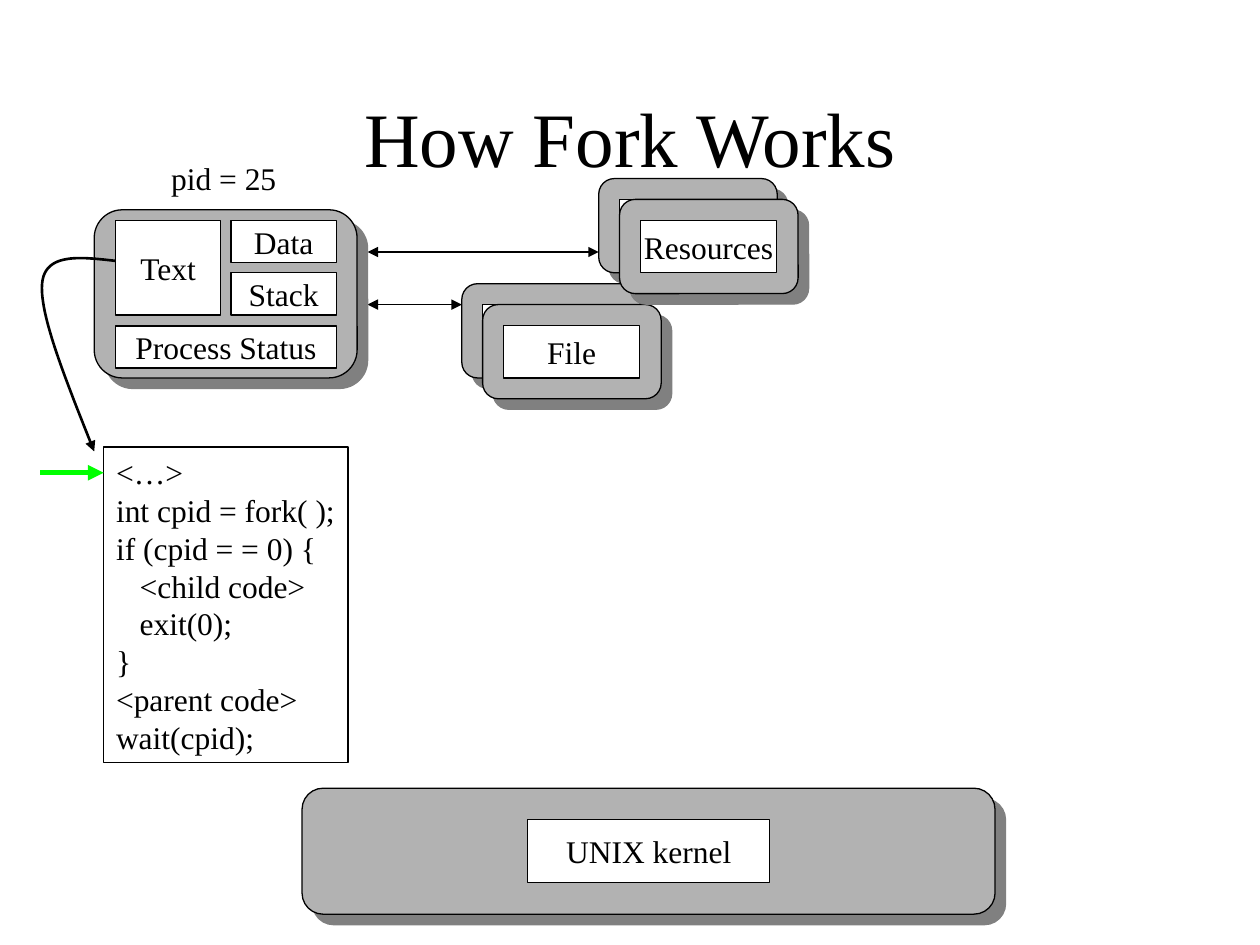
"""Build the slide that explains how fork works."""
from dataclasses import dataclass

from lxml import etree
from pptx import Presentation
from pptx.dml.color import RGBColor
from pptx.enum.shapes import MSO_CONNECTOR, MSO_SHAPE
from pptx.enum.text import MSO_ANCHOR, PP_ALIGN
from pptx.oxml.ns import qn
from pptx.util import Cm, Pt

RECTANGLE, ROUNDED = MSO_SHAPE.RECTANGLE, MSO_SHAPE.ROUNDED_RECTANGLE
STRAIGHT = MSO_CONNECTOR.STRAIGHT
TOP, MIDDLE = MSO_ANCHOR.TOP, MSO_ANCHOR.MIDDLE
LEFT, CENTER = PP_ALIGN.LEFT, PP_ALIGN.CENTER


@dataclass(frozen=True)
class Theme:
    font: str = "Times New Roman"
    title_size: float = 44
    body_size: float = 18
    ink: str = "000000"
    paper: str = "FFFFFF"
    panel: str = "B2B2B2"
    shade: str = "808080"
    marker: str = "00FF00"
    thin: float = 0.75
    medium: float = 1.5
    thick: float = 3


THEME = Theme()
CODE = """<…>
int cpid = fork( );
if (cpid = = 0) {
   <child code>
   exit(0);
}
<parent code>
wait(cpid);"""


def write(frame, text, size=THEME.body_size, align=CENTER, anchor=MIDDLE, wrap=False):
    frame.text = text
    frame.word_wrap = wrap
    frame.vertical_anchor = anchor
    for paragraph in frame.paragraphs:
        paragraph.alignment = align
        paragraph.font.name = THEME.font
        paragraph.font.size = Pt(size)
        paragraph.font.color.rgb = RGBColor.from_string(THEME.ink)


def set_line(line, color=THEME.ink, width=THEME.thin):
    line.color.rgb = RGBColor.from_string(color)
    line.width = Pt(width)


def add_box(shapes, bounds, fill=THEME.paper, kind=RECTANGLE):
    box = shapes.add_shape(kind, *map(Cm, bounds))
    box.shadow.inherit = False
    if fill:
        box.fill.solid()
        box.fill.fore_color.rgb = RGBColor.from_string(fill)
    else:
        box.fill.background()
    set_line(box.line)
    return box


def add_labelled_box(shapes, bounds, label):
    write(add_box(shapes, bounds).text_frame, label)


def add_panel(shapes, bounds):
    """Add a grey rounded panel with a hard shadow to the lower right."""
    panel = add_box(shapes, bounds, THEME.panel, ROUNDED)
    panel.adjustments[0] = 0.167
    effects = panel._element.spPr.find(qn("a:effectLst"))
    shadow = etree.SubElement(effects, qn("a:outerShdw"), dist=str(Pt(8.5)),
                              dir="2700000", algn="ctr", rotWithShape="0")
    etree.SubElement(shadow, qn("a:srgbClr"), val=THEME.shade)


def add_arrowheads(shape, *ends):
    outline = shape._element.spPr.find(qn("a:ln"))
    for end in ends:
        etree.SubElement(outline, qn(f"a:{end}"), type="triangle")


def add_arrow(shapes, start, end, ends, color=THEME.ink, width=THEME.thin):
    arrow = shapes.add_connector(STRAIGHT, *map(Cm, start + end))
    set_line(arrow.line, color, width)
    add_arrowheads(arrow, *ends)
    etree.SubElement(arrow._element.spPr, qn("a:effectLst"))


def bezier(controls, steps=24):
    """Return evenly spaced points along a cubic curve, in EMU."""
    points = []
    for step in range(steps + 1):
        t = step / steps
        weights = ((1 - t) ** 3, 3 * t * (1 - t) ** 2, 3 * t ** 2 * (1 - t), t ** 3)
        points.append(tuple(Cm(sum(w * v for w, v in zip(weights, axis)))
                            for axis in zip(*controls)))
    return points


def add_curved_arrow(shapes, *segments):
    points = [point for segment in segments for point in bezier(segment)]
    builder = shapes.build_freeform(*points[0])
    builder.add_line_segments(points[1:], close=False)
    curve = builder.convert_to_shape()
    curve.shadow.inherit = False
    curve.fill.background()
    set_line(curve.line, width=THEME.medium)
    add_arrowheads(curve, "tailEnd")


def add_card_pile(slide, left, top, label, cards=2, step=0.42):
    """Add overlapping cards, each shifted down and right by one step."""
    pile = slide.shapes.add_group_shape().shapes
    for index in range(cards):
        x, y = left + index * step, top + index * step
        add_panel(pile, (x, y, 3.6, 1.9))
        add_labelled_box(pile, (x + step, y + step, 2.75, 1.06), label)


def add_framed_parts(slide, bounds, parts):
    group = slide.shapes.add_group_shape().shapes
    add_panel(group, bounds)
    for label, part_bounds in parts.items():
        add_labelled_box(group, part_bounds, label)


def add_title(slide, text):
    title = slide.shapes.title
    title.left, title.top, title.width, title.height = map(Cm, (1.9, 1.69, 21.6, 2.12))
    write(title.text_frame, text, THEME.title_size, wrap=True)


def main():
    deck = Presentation()
    deck.slide_width, deck.slide_height = Cm(25.4), Cm(19.05)
    slide = deck.slides.add_slide(deck.slide_layouts[5])
    shapes = slide.shapes
    add_title(slide, "How Fork Works")

    add_framed_parts(slide, (6.09, 15.89, 13.97, 2.54),
                     {"UNIX kernel": (10.64, 16.52, 4.88, 1.27)})
    process_edge, file_left, resource_left = 7.41, 9.31, 12.07
    for y, target in ((6.14, file_left), (5.08, resource_left)):
        add_arrow(shapes, (target, y), (process_edge, y), ("headEnd", "tailEnd"))
    add_framed_parts(slide, (1.9, 4.23, 5.3, 3.39), {
        "Text": (2.33, 4.45, 2.12, 1.9),
        "Process Status": (2.33, 6.57, 4.45, 0.85),
        "Stack": (4.66, 5.5, 2.12, 0.85),
        "Data": (4.66, 4.45, 2.12, 0.85),
    })
    add_card_pile(slide, file_left, 5.72, "File")
    add_card_pile(slide, resource_left, 3.6, "Resources")

    code_left = 2.09
    listing = add_box(shapes, (code_left, 9.01, 4.93, 6.36), fill=None)
    write(listing.text_frame, CODE, align=LEFT, anchor=TOP)
    add_curved_arrow(shapes,
                     ((2.33, 5.26), (1.63, 5.18), (0.91, 5.09), (0.85, 5.71)),
                     ((0.85, 5.71), (0.79, 6.35), (1.35, 7.72), (1.9, 9.1)))
    add_arrow(shapes, (0.81, 9.53), (code_left, 9.53), ("tailEnd",),
              THEME.marker, THEME.thick)
    pid_label = shapes.add_textbox(*map(Cm, (3.2, 3.09, 3.2, 1.02)))
    write(pid_label.text_frame, "pid = 25", align=LEFT, anchor=TOP, wrap=True)

    deck.save("out.pptx")


if __name__ == "__main__":
    main()
